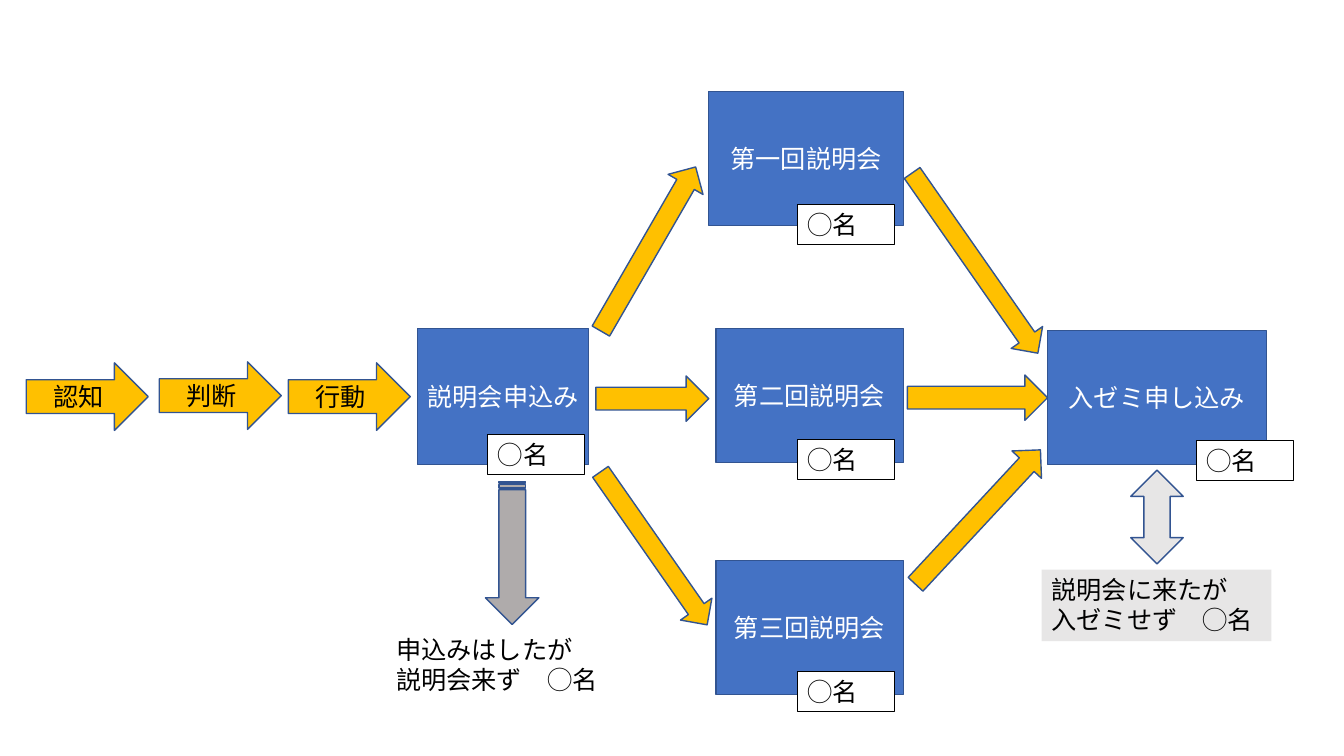
from dataclasses import dataclass

from lxml import etree
from pptx import Presentation
from pptx import util as u
from pptx.dml.color import RGBColor
from pptx.enum import shapes, text
from pptx.oxml import ns

FONT = "Noto Sans CJK JP"
COLORS = {
    "blue": "4472C4",
    "outline": "325491",
    "gold": "FFC000",
    "gray": "AFABAB",
    "pale": "E7E6E6",
    "white": "FFFFFF",
    "black": "000000",
}
KIND = shapes.MSO_SHAPE


@dataclass(frozen=True)
class Block:
    """A preset shape with its place in inches and an optional centred label."""
    left: float
    top: float
    width: float
    height: float
    label: str = ""
    kind: KIND = KIND.RIGHT_ARROW
    fill: str = "gold"
    ink: str = "black"
    rotation: float = 0


@dataclass(frozen=True)
class Note:
    """A left-aligned text box, one paragraph per line."""
    left: float
    top: float
    width: float
    height: float
    lines: tuple[str, ...]
    fill: str | None = None
    framed: bool = False


def step(left: float, top: float, width: float, height: float, label: str) -> Block:
    return Block(left, top, width, height, label, KIND.RECTANGLE, "blue", "white")


def headcount(left: float, top: float) -> Note:
    return Note(left, top, 0.96, 0.4, ("◯名",), "white", True)


STEPS = [
    step(4.14, 3.26, 1.7, 1.35, "説明会申込み"),
    step(7.03, 0.91, 1.93, 1.33, "第一回説明会"),
    step(7.1, 3.26, 1.86, 1.33, "第二回説明会"),
    step(7.1, 5.56, 1.86, 1.33, "第三回説明会"),
    step(10.39, 3.28, 2.17, 1.33, "入ゼミ申し込み"),
]
STAGES = [
    Block(0.26, 3.6, 1.21, 0.67, "認知"),
    Block(1.58, 3.59, 1.21, 0.67, "判断"),
    Block(2.86, 3.6, 1.21, 0.67, "行動"),
]
FLOWS = [
    Block(5.91, 3.73, 1.12, 0.45),
    Block(5.49, 2.27, 1.88, 0.4, rotation=300),
    Block(5.56, 5.25, 1.85, 0.38, rotation=55.1),
    Block(8.58, 2.42, 2.18, 0.38, rotation=55.1),
    Block(9, 3.72, 1.39, 0.45),
    Block(8.79, 4.93, 1.82, 0.4, rotation=312.9),
]
HEADCOUNTS = [
    headcount(4.84, 4.31),
    headcount(7.91, 2.03),
    headcount(7.91, 4.36),
    headcount(7.91, 6.66),
    headcount(11.87, 4.37),
]
DROPOUT_ARROWS = [
    Block(4.37, 5.22, 1.42, 0.53, kind=KIND.STRIPED_RIGHT_ARROW, fill="gray", rotation=90),
    Block(11.01, 4.87, 0.93, 0.52, kind=KIND.LEFT_RIGHT_ARROW, fill="pale", rotation=90),
]
DROPOUT_NOTES = [
    Note(3.83, 6.24, 2.48, 0.71, ("申込みはしたが", "説明会来ず　◯名")),
    Note(10.33, 5.65, 2.28, 0.71, ("説明会に来たが", "入ゼミせず　◯名"), "pale"),
]


def color(name: str) -> RGBColor:
    return RGBColor.from_string(COLORS[name])


def place(item: Block | Note) -> list[u.Length]:
    return [u.Inches(side) for side in (item.left, item.top, item.width, item.height)]


def write(frame, lines: tuple[str, ...], *, ink: str = "black", size: float = 18,
          align=text.PP_ALIGN.LEFT, anchor=text.MSO_ANCHOR.TOP, side: float = 0.1) -> None:
    """Fill a text frame, with the font set for Latin and East Asian characters."""
    frame.word_wrap = True
    frame.vertical_anchor = anchor
    frame.margin_left = frame.margin_right = u.Inches(side)
    for index, line in enumerate(lines):
        para = frame.add_paragraph() if index else frame.paragraphs[0]
        para.alignment = align
        span = para.add_run()
        span.text = line
        span.font.size = u.Pt(size)
        span.font.color.rgb = color(ink)
        span.font.name = FONT
        east_asian = etree.SubElement(span.font._element, ns.qn("a:ea"))
        east_asian.set("typeface", FONT)


def draw_block(page, block: Block) -> None:
    shape = page.shapes.add_shape(block.kind, *place(block))
    shape.shadow.inherit = False
    shape.rotation = block.rotation
    shape.fill.solid()
    shape.fill.fore_color.rgb = color(block.fill)
    shape.line.color.rgb = color("outline")
    shape.line.width = u.Pt(1)
    if block.label:
        write(shape.text_frame, (block.label,), ink=block.ink, side=0.05,
              align=text.PP_ALIGN.CENTER, anchor=text.MSO_ANCHOR.MIDDLE)


def draw_note(page, note: Note) -> None:
    box = page.shapes.add_textbox(*place(note))
    if note.fill:
        box.fill.solid()
        box.fill.fore_color.rgb = color(note.fill)
    if note.framed:
        box.line.color.rgb = color("black")
        box.line.width = u.Pt(0.75)
    write(box.text_frame, note.lines)
    box.text_frame.auto_size = text.MSO_AUTO_SIZE.SHAPE_TO_FIT_TEXT


def main() -> None:
    deck = Presentation()
    deck.slide_width, deck.slide_height = u.Inches(13.33), u.Inches(7.5)
    page = deck.slides.add_slide(deck.slide_layouts[6])
    for block in STEPS + STAGES + FLOWS:
        draw_block(page, block)
    for note in HEADCOUNTS:
        draw_note(page, note)
    for arrow, note in zip(DROPOUT_ARROWS, DROPOUT_NOTES):
        draw_block(page, arrow)
        draw_note(page, note)
    deck.save("out.pptx")


if __name__ == "__main__":
    main()
